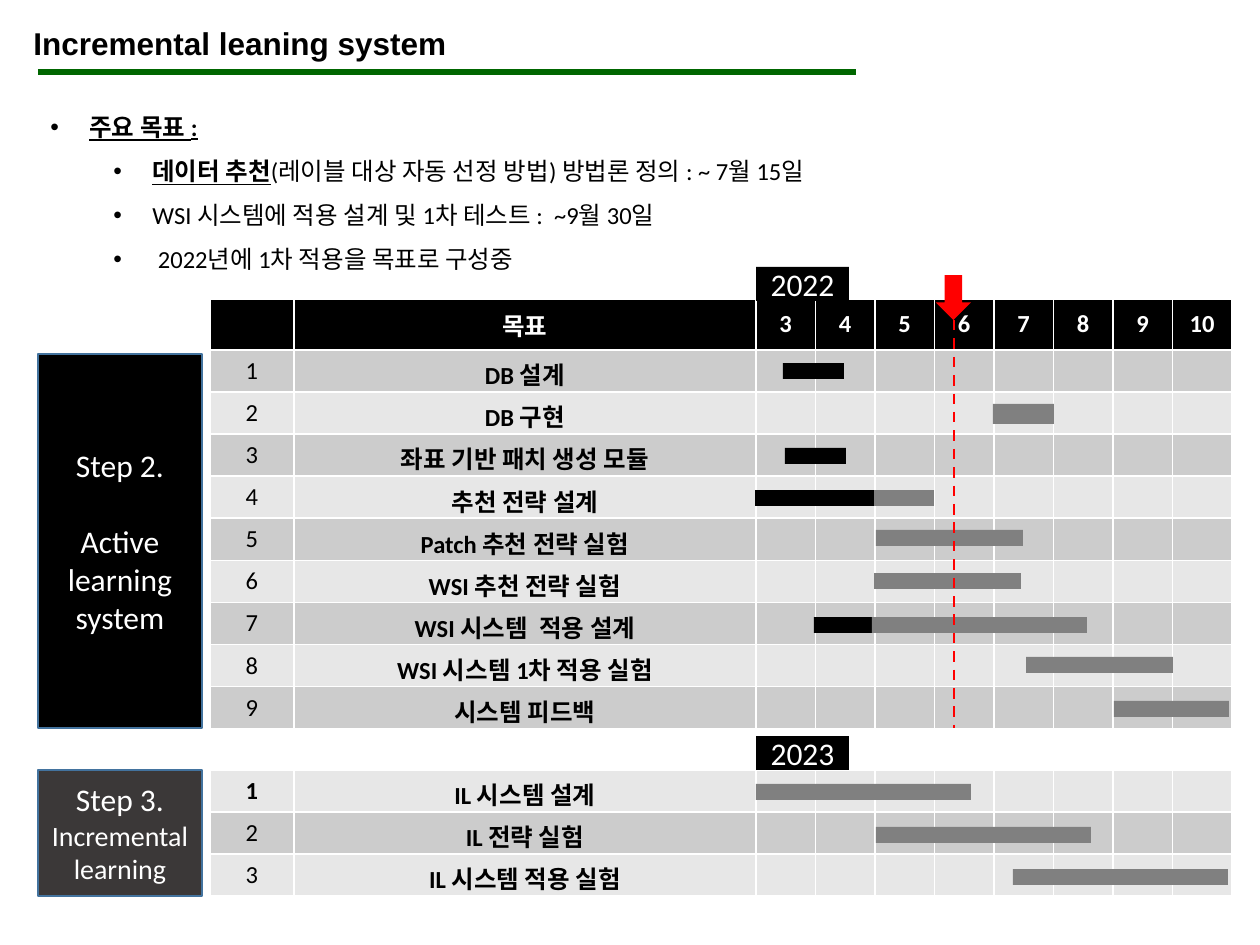
from pptx import Presentation
from pptx.dml.color import RGBColor
from pptx.enum.dml import MSO_LINE
from pptx.enum.shapes import MSO_CONNECTOR, MSO_SHAPE
from pptx.enum.text import MSO_ANCHOR, PP_ALIGN
from pptx.oxml.ns import qn
from pptx.util import Emu, Pt
from lxml.etree import SubElement

SCALE = 914400 / 126
BLACK = RGBColor(0x00, 0x00, 0x00)
WHITE = RGBColor(0xFF, 0xFF, 0xFF)
GREEN = RGBColor(0x00, 0x66, 0x00)
RED = RGBColor(0xFF, 0x00, 0x00)
GRAY = RGBColor(0x80, 0x80, 0x80)
CHARCOAL = RGBColor(0x3B, 0x38, 0x38)
BLUE = RGBColor(0x43, 0x73, 0x9E)
DARK_BAND = RGBColor(0xCC, 0xCC, 0xCC)
LIGHT_BAND = RGBColor(0xE7, 0xE7, 0xE7)


def px(*lengths):
    return [Emu(round(length * SCALE)) for length in lengths]


def set_font(paragraph, size, color, bold=False, name="Calibri"):
    font = paragraph.font
    font.name, font.size, font.bold = name, Pt(size), bold
    font.color.rgb = color


presentation = Presentation()
presentation.slide_width, presentation.slide_height = px(1260, 945)
slide = presentation.slides.add_slide(presentation.slide_layouts[6])
shapes = slide.shapes

title = shapes.add_textbox(*px(21, 18, 648, 50)).text_frame
title.word_wrap = True
title.text = "Incremental leaning system"
set_font(title.paragraphs[0], 18, BLACK, True, "Arial")

goals = shapes.add_textbox(*px(38, 91, 1084, 190)).text_frame
goals.word_wrap = True
goal_lines = [
    (0, "주요 목표 :", ""),
    (1, "데이터 추천", "(레이블 대상 자동 선정 방법) 방법론 정의 : ~ 7월 15일"),
    (1, "", "WSI 시스템에 적용 설계 및 1차 테스트 :  ~9월 30일"),
    (1, "", " 2022년에 1차 적용을 목표로 구성중"),
]
for index, (level, keyword, detail) in enumerate(goal_lines):
    goal = goals.add_paragraph() if index else goals.paragraphs[0]
    goal.level = level
    goal.line_spacing = 1.5
    properties = goal._p.get_or_add_pPr()
    margin, hanging = px(102 if level else 39, -39)
    properties.set("marL", str(margin))
    properties.set("indent", str(hanging))
    SubElement(properties, qn("a:buFont"), typeface="Arial")
    SubElement(properties, qn("a:buChar"), char="•")
    set_font(goal, 14, BLACK)
    if keyword:
        emphasis = goal.add_run()
        emphasis.text = keyword
        emphasis.font.bold = emphasis.font.underline = True
    if detail:
        goal.add_run().text = detail

months = ["3", "4", "5", "6", "7", "8", "9", "10"]
active_tasks = [
    "DB 설계", "DB 구현", "좌표 기반 패치 생성 모듈", "추천 전략 설계",
    "Patch 추천 전략 실험", "WSI 추천 전략 실험", "WSI 시스템  적용 설계",
    "WSI 시스템 1차 적용 실험", "시스템 피드백",
]
incremental_tasks = ["IL 시스템 설계", "IL 전략 실험", "IL 시스템 적용 실험"]
schedules = [
    (299, ["", "목표", *months], active_tasks),
    (770, None, incremental_tasks),
]
for top, header, tasks in schedules:
    rows = [[str(number), task] + [""] * len(months)
            for number, task in enumerate(tasks, 1)]
    if header:
        rows.insert(0, header)
    heights = [51 if row is header else 42 for row in rows]
    schedule = shapes.add_table(
        len(rows), len(rows[0]), *px(210, top, 1022, sum(heights))).table
    schedule.columns[0].width, schedule.columns[1].width, months_width = px(84, 462, 476)
    for column in range(2, len(rows[0])):
        schedule.columns[column].width = Emu(months_width // len(months))
    for row_index, row in enumerate(rows):
        schedule.rows[row_index].height, = px(heights[row_index])
        is_header = row is header
        band = DARK_BAND if row_index % 2 else LIGHT_BAND
        for column, text in enumerate(row):
            cell = schedule.cell(row_index, column)
            cell.fill.solid()
            cell.fill.fore_color.rgb = BLACK if is_header else band
            cell.vertical_anchor = MSO_ANCHOR.MIDDLE
            cell.text = text
            entry = cell.text_frame.paragraphs[0]
            entry.alignment = PP_ALIGN.CENTER
            set_font(entry, 14, WHITE if is_header else BLACK,
                     column > 0 or row_index == 0)

bars = [
    (783, 363, 61, 16, BLACK),
    (993, 404, 61, 20, GRAY),
    (785, 448, 61, 16, BLACK),
    (873, 490, 61, 16, GRAY),
    (755, 490, 119, 16, BLACK),
    (876, 530, 147, 16, GRAY),
    (874, 573, 147, 16, GRAY),
    (814, 617, 61, 16, BLACK),
    (872, 617, 215, 16, GRAY),
    (1026, 657, 147, 16, GRAY),
    (1114, 701, 115, 16, GRAY),
    (756, 784, 215, 16, GRAY),
    (876, 827, 215, 16, GRAY),
    (1013, 869, 215, 16, GRAY),
]
for *place, color in bars:
    bar = shapes.add_shape(MSO_SHAPE.RECTANGLE, *px(*place))
    bar.shadow.inherit = False
    bar.fill.solid()
    bar.fill.fore_color.rgb = color
    bar.line.fill.background()

rules = [
    ((38, 72, 856, 72), GREEN, 3, None),
    ((954, 320, 954, 728), RED, 1.5, MSO_LINE.DASH),
]
for ends, color, width, dash in rules:
    rule = shapes.add_connector(MSO_CONNECTOR.STRAIGHT, *px(*ends))
    rule.line.color.rgb = color
    rule.line.width = Pt(width)
    if dash:
        rule.line.dash_style = dash
    SubElement(rule._element.spPr, qn("a:effectLst"))

today = shapes.add_shape(MSO_SHAPE.DOWN_ARROW, *px(936, 275, 35, 45))
today.shadow.inherit = False
today.fill.solid()
today.fill.fore_color.rgb = RED
today.line.fill.background()

labels = [
    ((38, 354, 164, 374), BLACK, BLUE, [("Step 2.", 18, 0), ("Active learning system", 18, 22)]),
    ((38, 770, 164, 126), CHARCOAL, BLUE, [("Step 3.", 18, 0), ("Incremental learning", 16, 0)]),
    ((756, 267, 93, 34), BLACK, None, [("2022", 18, 0)]),
    ((756, 736, 93, 34), BLACK, None, [("2023", 18, 0)]),
]
for place, color, outline, lines in labels:
    label = shapes.add_shape(MSO_SHAPE.RECTANGLE, *px(*place))
    label.shadow.inherit = False
    label.fill.solid()
    label.fill.fore_color.rgb = color
    if outline:
        label.line.color.rgb = outline
        label.line.width = Pt(1)
    else:
        label.line.fill.background()
    label.text_frame.vertical_anchor = MSO_ANCHOR.MIDDLE
    label.text_frame.text = "\n".join(text for text, _, _ in lines)
    for paragraph, (_, size, gap) in zip(label.text_frame.paragraphs, lines):
        paragraph.alignment = PP_ALIGN.CENTER
        if gap:
            paragraph.space_before = Pt(gap)
        set_font(paragraph, size, WHITE)

presentation.save("out.pptx")
